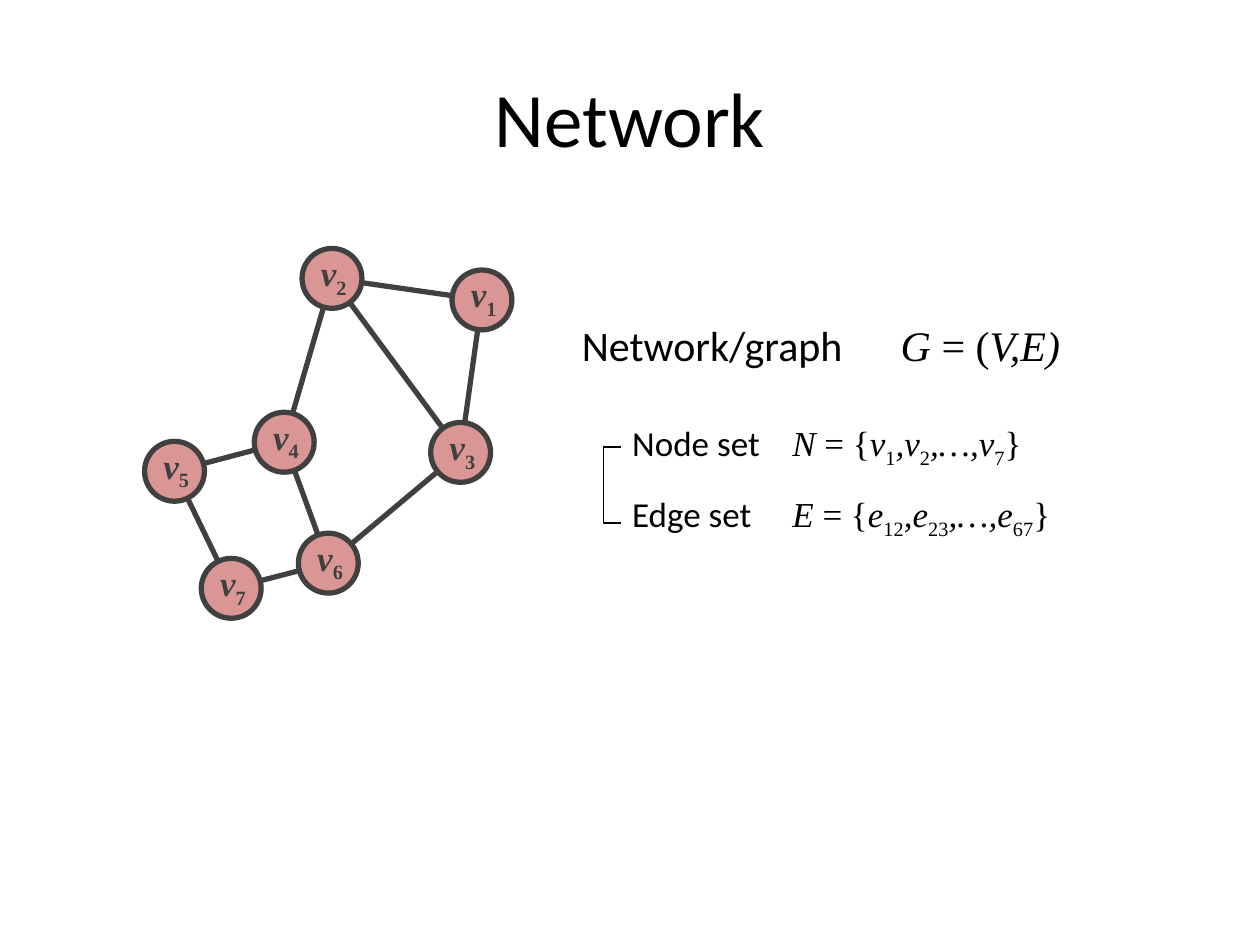
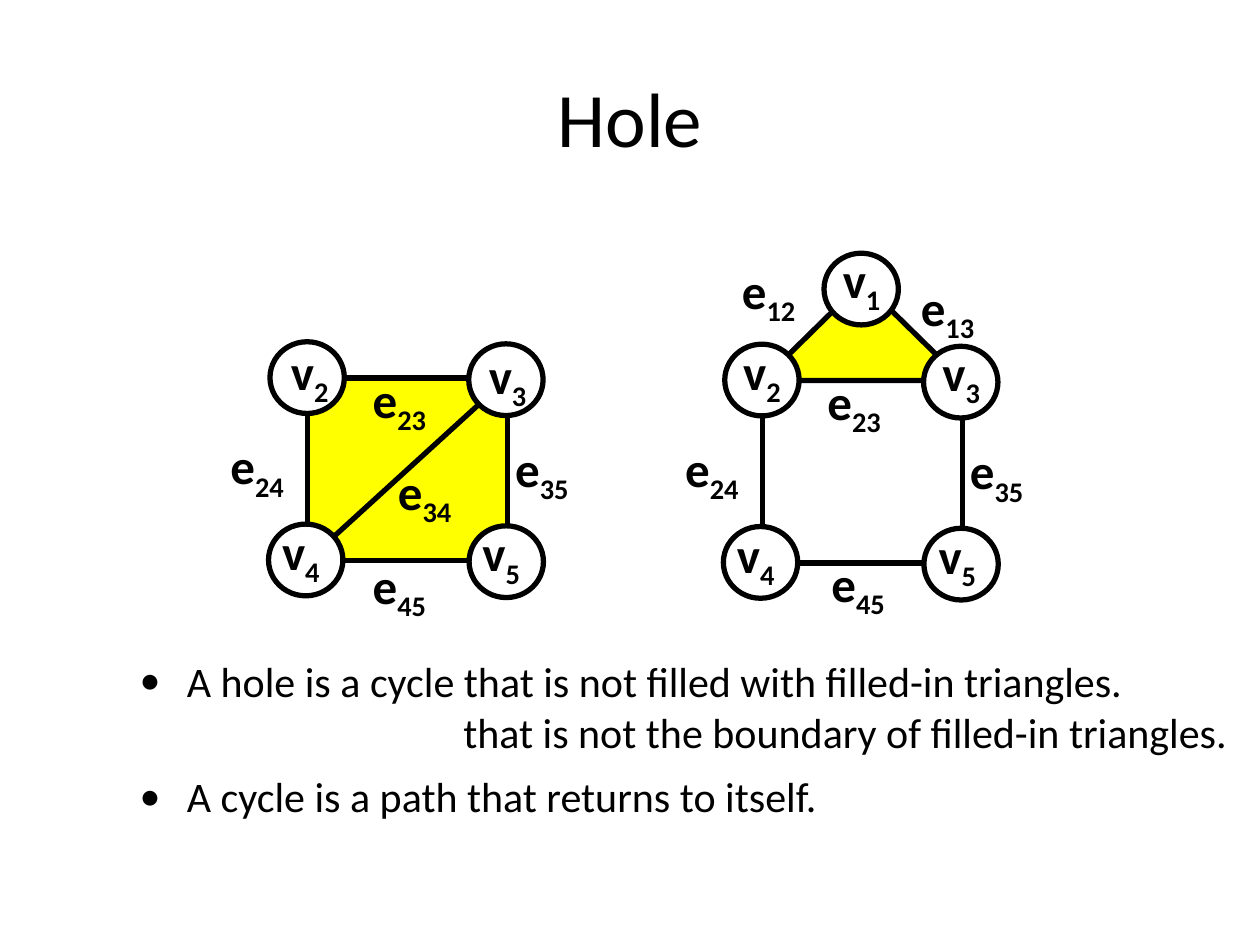
from math import hypot

from pptx import Presentation
from pptx.dml.color import RGBColor
from pptx.enum.shapes import MSO_CONNECTOR, MSO_SHAPE
from pptx.enum.text import MSO_ANCHOR, MSO_AUTO_SIZE, PP_ALIGN
from pptx.oxml.ns import qn
from pptx.util import Pt

BLACK = RGBColor(0x00, 0x00, 0x00)
WHITE = RGBColor(0xFF, 0xFF, 0xFF)
CHARCOAL = RGBColor(0x40, 0x40, 0x40)
ROSE = RGBColor(0xD9, 0x96, 0x94)
YELLOW = RGBColor(0xFF, 0xFF, 0x00)
SANS = "Calibri"
SERIF = "Times New Roman"

NETWORK_NODES = {
    1: (275.4, 171.4), 2: (189.7, 159.1), 3: (263.2, 258.5), 4: (162.4, 252.7),
    5: (99.7, 269.3), 6: (187.6, 321.8), 7: (132.1, 336.2),
}
NETWORK_EDGES = [(6, 7), (5, 7), (4, 6), (4, 5), (1, 2), (2, 4), (3, 6), (2, 3), (1, 3)]
NETWORK_NODE = 34.2

SQUARE_WIDTH, SQUARE_HEIGHT = 114.5, 104.4
APEX = (56.5, -52.2)
CORNERS = [(-0.2, -0.2), (113.4, 1), (-1, 104), (113.6, 105)]
HOLLOW_ORIGIN = (435.6, 217.4)
FILLED_ORIGIN = (175.7, 216)
HOLLOW_LABELS = {
    "v|_1": (474.5, 139), "v|_2": (417.6, 191.5), "v|_3": (531.4, 192.2),
    "v|_4": (414, 295.9), "v|_5": (529.2, 296.6), "e|_12": (416.9, 145.4),
    "e|_13": (519.1, 154.8), "e|_23": (465.8, 208.8), "e|_24": (384.5, 247),
    "e|_35": (547.2, 248.4), "e|_45": (468, 312.5),
}
FILLED_LABELS = {
    "v|_2": (159.1, 191.5), "v|_3": (272.2, 193.7), "v|_4": (154.1, 294.5),
    "v|_5": (268.6, 295.2), "e|_23": (205.9, 207.4), "e|_24": (124.6, 245.5),
    "e|_35": (287.3, 247), "e|_45": (205.9, 313.9), "e|_34": (220.3, 259.9),
}


class Deck:
    """Holds the shared style and the current slide, and draws its elements."""

    def __init__(self):
        self.presentation = Presentation()
        self.presentation.slide_width = Pt(720)
        self.presentation.slide_height = Pt(540)
        self.slide = None

    def new_slide(self, title):
        layout = self.presentation.slide_layouts[6]
        self.slide = self.presentation.slides.add_slide(layout)
        self.text(title, 36, 21.6, 648, 90, size=44, align=PP_ALIGN.CENTER,
                  anchor=MSO_ANCHOR.MIDDLE, wrap=True, grow=False)

    def text(self, marked, left, top, width, height, *, size=24, font=SANS, color=BLACK,
             bold=False, align=PP_ALIGN.LEFT, anchor=MSO_ANCHOR.TOP, wrap=False,
             grow=True, bullet=False):
        """Adds text whose runs are parted by |, with * for italic and _ for subscript."""
        box = self.slide.shapes.add_textbox(*map(Pt, (left, top, width, height)))
        frame = box.text_frame
        frame.word_wrap = wrap
        frame.auto_size = MSO_AUTO_SIZE.SHAPE_TO_FIT_TEXT if grow else MSO_AUTO_SIZE.NONE
        frame.vertical_anchor = anchor
        paragraph = frame.paragraphs[0]
        paragraph.alignment = align
        if bullet:
            properties = paragraph._p.get_or_add_pPr()
            properties.set("marL", str(Pt(27)))
            properties.set("indent", str(-Pt(27)))
            properties.append(properties.makeelement(qn("a:buFont"), {"typeface": font}))
            properties.append(properties.makeelement(qn("a:buChar"), {"char": "•"}))
        for part in marked.split("|"):
            run = paragraph.add_run()
            run.text = part.lstrip("*_")
            run.font.size = Pt(size)
            run.font.name = font
            run.font.color.rgb = color
            run.font.bold = bold
            run.font.italic = part.startswith("*")
            if part.startswith("_"):
                run._r.get_or_add_rPr().set("baseline", "-25000")

    def shape(self, kind, left, top, width, height, *, fill=None, line=BLACK, weight=3):
        figure = self.slide.shapes.add_shape(kind, *map(Pt, (left, top, width, height)))
        figure.shadow.inherit = False
        if fill is None:
            figure.fill.background()
        else:
            figure.fill.solid()
            figure.fill.fore_color.rgb = fill
        figure.line.color.rgb = line
        figure.line.width = Pt(weight)
        return figure

    def node(self, center, width, height, *, fill, line=BLACK):
        x, y = center
        self.shape(MSO_SHAPE.OVAL, x - width / 2, y - height / 2, width, height,
                   fill=fill, line=line)

    def edge(self, start, end, *, color=BLACK, trim=0):
        (x1, y1), (x2, y2) = start, end
        share = trim / hypot(x2 - x1, y2 - y1)
        dx, dy = (x2 - x1) * share, (y2 - y1) * share
        link = self.slide.shapes.add_connector(
            MSO_CONNECTOR.STRAIGHT, *map(Pt, (x1 + dx, y1 + dy, x2 - dx, y2 - dy)))
        link.line.color.rgb = color
        link.line.width = Pt(3)
        properties = link._element.spPr
        properties.append(properties.makeelement(qn("a:effectLst"), {}))

    def square(self, origin, *, fill=None):
        self.shape(MSO_SHAPE.RECTANGLE, *origin, SQUARE_WIDTH, SQUARE_HEIGHT, fill=fill)

    def vertices(self, origin, offsets, labels):
        for dx, dy in offsets:
            self.node((origin[0] + dx, origin[1] + dy), 42.5, 41, fill=WHITE)
        for label, (left, top) in labels.items():
            width = 37.4 if label.startswith("v") else 48.2
            self.text(label, left, top, width, 41, size=28, bold=True)


def build_network(deck):
    deck.new_slide("Network")
    for center in NETWORK_NODES.values():
        deck.node(center, NETWORK_NODE, NETWORK_NODE, fill=ROSE, line=CHARCOAL)
    for first, second in NETWORK_EDGES:
        deck.edge(NETWORK_NODES[first], NETWORK_NODES[second], color=CHARCOAL,
                  trim=NETWORK_NODE / 2)
    for number, (x, y) in NETWORK_NODES.items():
        deck.text(f"*v|_{number}", x - 13.4, y - 19, 31.7, 31.7, size=20, font=SERIF,
                  color=CHARCOAL, bold=True, wrap=True)

    deck.text("Network/graph", 325.4, 179.3, 166.3, 36)
    deck.text("*G |= (|*V,E)", 507.6, 179.3, 106.6, 36, font=SERIF)
    definitions = [
        ("Node set", 87.8, "*N |= {|*v|_1|*,v|_2|*,…,v|_7|}", 149, 237.6),
        ("Edge set", 83.5, "*E |= {|*e|_12|*,e|_23|*,…,e|_67|}", 192.2, 277.9),
    ]
    for name, name_width, formula, formula_width, top in definitions:
        deck.text(name, 354.2, top, name_width, 31.7, size=20)
        deck.text(formula, 445.7, top, formula_width, 31.7, size=20, font=SERIF,
                  wrap=formula.startswith("*E"))
    bracket = deck.shape(MSO_SHAPE.LEFT_BRACKET, 344.9, 255.6, 10.1, 43.2, weight=1)
    bracket.adjustments[0] = 0


def build_hole(deck):
    deck.new_slide("Hole")
    left, top = HOLLOW_ORIGIN
    deck.shape(MSO_SHAPE.ISOSCELES_TRIANGLE, left, top - 56.2, SQUARE_WIDTH, 56.2, fill=YELLOW)
    deck.square(HOLLOW_ORIGIN)
    deck.vertices(HOLLOW_ORIGIN, [*CORNERS, APEX], HOLLOW_LABELS)

    left, top = FILLED_ORIGIN
    deck.square(FILLED_ORIGIN, fill=YELLOW)
    deck.edge((left, top + SQUARE_HEIGHT), (left + SQUARE_WIDTH, top))
    deck.vertices(FILLED_ORIGIN, CORNERS, FILLED_LABELS)

    deck.text("A hole is a cycle that is not filled with filled-in triangles.",
              72.7, 370.8, 593.3, 36, wrap=True, bullet=True)
    deck.text("that is not the boundary of filled-in triangles.",
              242.4, 400.3, 466, 36, align=PP_ALIGN.RIGHT, wrap=True)
    deck.text("A cycle is a path that returns to itself.",
              72.7, 437, 593.3, 36, wrap=True, bullet=True)


def main():
    deck = Deck()
    build_network(deck)
    build_hole(deck)
    deck.presentation.save("out.pptx")


if __name__ == "__main__":
    main()
